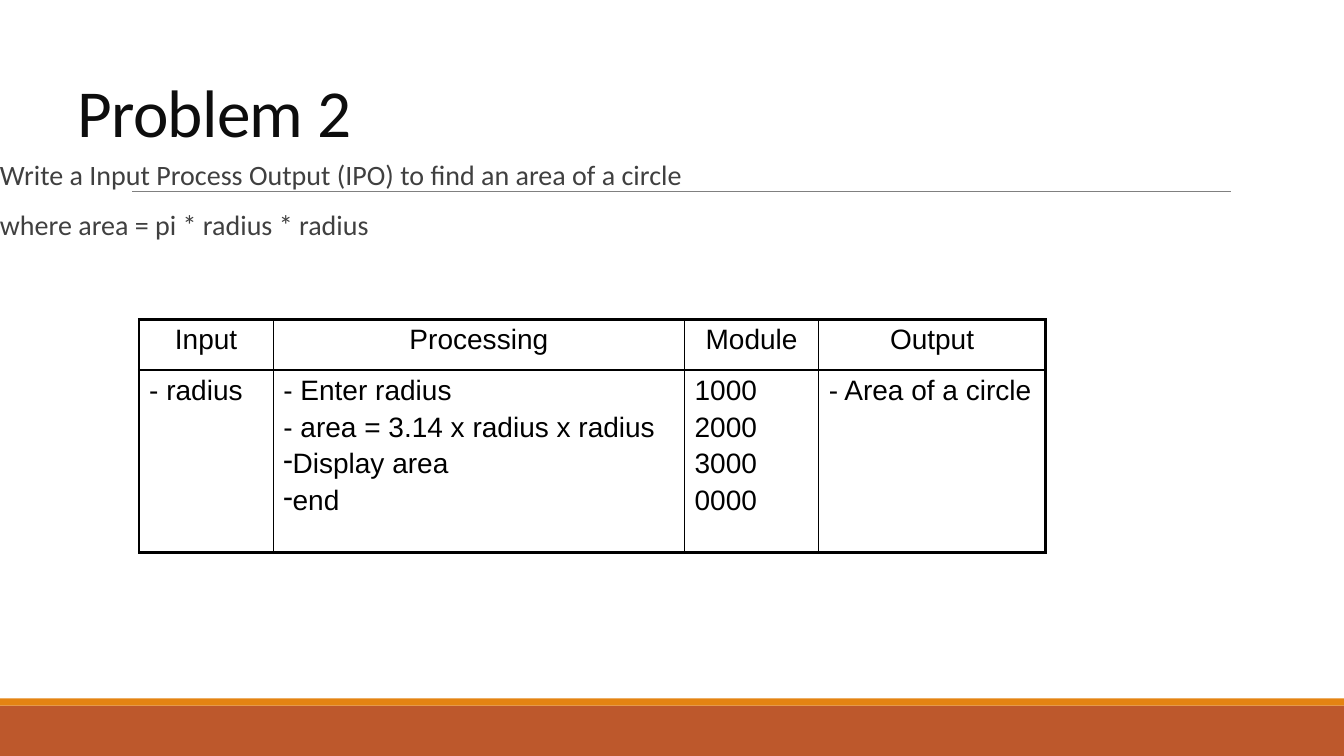
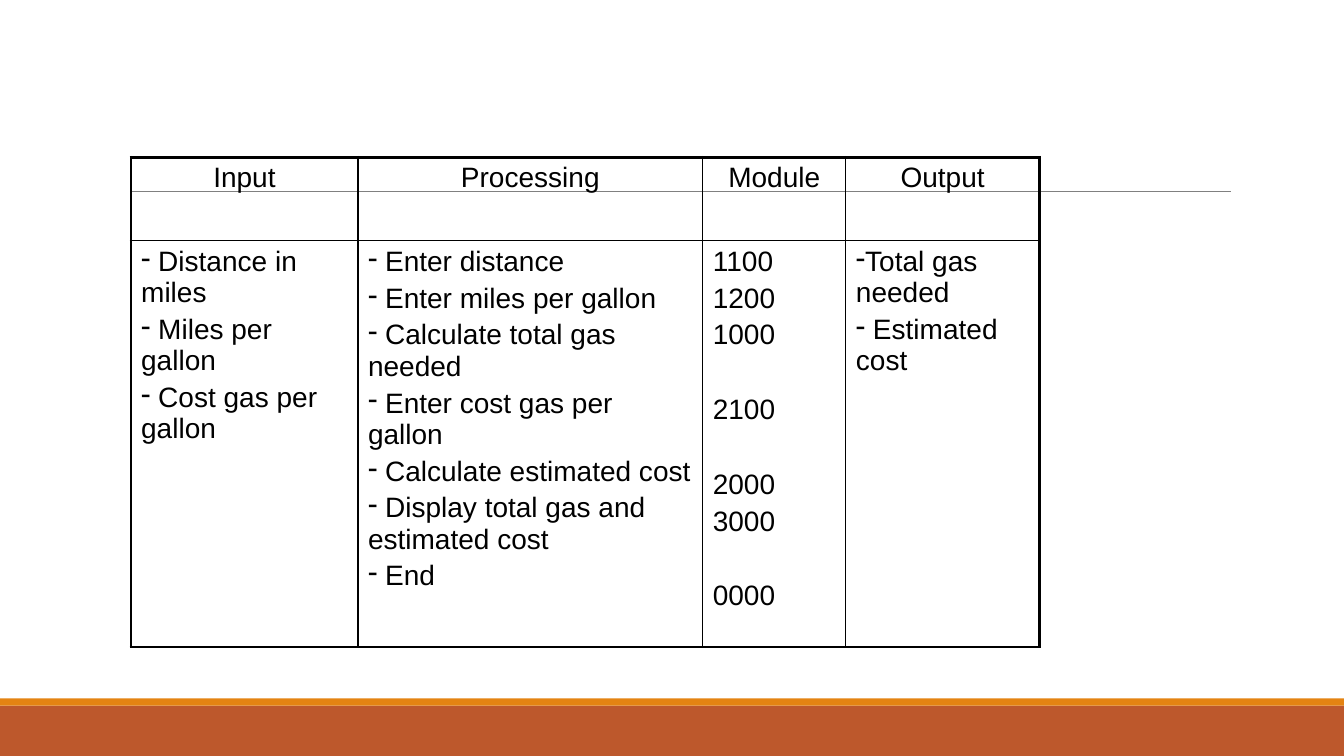
from dataclasses import dataclass
from typing import Any

import lxml.etree
import pptx
import pptx.dml.color
import pptx.enum.shapes
import pptx.enum.text
import pptx.oxml.ns
import pptx.util

Inches = pptx.util.Inches
Pt = pptx.util.Pt
qn = pptx.oxml.ns.qn
Align = pptx.enum.text.PP_ALIGN
Anchor = pptx.enum.text.MSO_ANCHOR

SLIDE_WIDTH, SLIDE_HEIGHT = 13.33, 7.5
BLACK, TITLE, BODY = "000000", "0D0D0D", "404040"
RULE = "808080"
OUTER_BORDER, INNER_BORDER = 2.25, 1
HEADERS = ("Input", "Processing", "Module", "Output")


@dataclass(frozen=True)
class Band:
    top: float
    height: float
    color: str


@dataclass(frozen=True)
class Entry:
    text: str
    bullet: str = ""
    space_before: float = 4


@dataclass(frozen=True)
class IpoTable:
    left: float
    top: float
    columns: tuple[float, ...]
    rows: tuple[float, float]
    content: tuple[list[Entry], ...]


BANDS = (Band(7, 0.5, "BD582C"), Band(6.93, 0.07, "E48312"))


def rgb(color: str) -> pptx.dml.color.RGBColor:
    return pptx.dml.color.RGBColor.from_string(color)


def plain(*texts: str) -> list[Entry]:
    return [Entry(text) for text in texts]


def dashed(*texts: str) -> list[Entry]:
    return [Entry(text, bullet="-") for text in texts]


def after_gap(text: str) -> Entry:
    return Entry(text, space_before=31)


CIRCLE_TABLE = IpoTable(
    1.38, 3.17, (1.33, 4.08, 1.33, 2.25), (0.5, 1.81),
    (
        plain("- radius"),
        plain("- Enter radius", "- area = 3.14 x radius x radius")
        + dashed("Display area", "end"),
        plain("1000", "2000", "3000", "0000"),
        plain("- Area of a circle"),
    ),
)

GAS_TABLE = IpoTable(
    1.3, 1.56, (2.25, 3.42, 1.42, 1.92), (0.83, 4.03),
    (
        dashed(" Distance in miles", " Miles per gallon", " Cost gas per gallon"),
        dashed(
            " Enter distance", " Enter miles per gallon",
            " Calculate total gas needed", " Enter cost gas per gallon",
            " Calculate estimated cost", " Display total gas and estimated cost",
            " End",
        ),
        plain("1100", "1200", "1000")
        + [after_gap("2100"), after_gap("2000")]
        + plain("3000")
        + [after_gap("0000")],
        dashed("Total gas needed", " Estimated cost"),
    ),
)


def write_text(
    frame: Any, entries: list[Entry], *, font: str, size: float, color: str,
    align: Any = Align.LEFT, line_spacing: float = 1.0,
    space_after: float = 0, tracking: float = 0,
) -> None:
    frame.word_wrap = True
    for index, entry in enumerate(entries):
        paragraph = frame.paragraphs[0] if index == 0 else frame.add_paragraph()
        paragraph.alignment = align
        paragraph.line_spacing = line_spacing
        paragraph.space_before = Pt(entry.space_before if index else 0)
        paragraph.space_after = Pt(space_after)
        if entry.bullet:
            properties = paragraph._p.get_or_add_pPr()
            properties.set("marL", "0")
            properties.set("indent", "0")
            bullet = lxml.etree.SubElement(properties, qn("a:buChar"))
            bullet.set("char", entry.bullet)
        run = paragraph.add_run()
        run.text = entry.text
        run.font.name = font
        run.font.size = Pt(size)
        run.font.color.rgb = rgb(color)
        if tracking:
            run._r.get_or_add_rPr().set("spc", str(round(tracking * 100)))


def add_text_box(
    slide: Any, left: float, top: float, width: float, height: float,
    entries: list[Entry], *, anchor: Any = Anchor.TOP, side_margin: float = 0.1,
    **text_format: Any,
) -> None:
    shape = slide.shapes.add_textbox(
        Inches(left), Inches(top), Inches(width), Inches(height)
    )
    frame = shape.text_frame
    frame.vertical_anchor = anchor
    frame.margin_left = frame.margin_right = Inches(side_margin)
    write_text(frame, entries, **text_format)


def set_border(cell: Any, side: str, width: float) -> None:
    line = lxml.etree.SubElement(
        cell._tc.get_or_add_tcPr(), qn(f"a:ln{side}"), w=str(Pt(width))
    )
    fill = lxml.etree.SubElement(line, qn("a:solidFill"))
    lxml.etree.SubElement(fill, qn("a:srgbClr"), val=BLACK)


def add_ipo_table(slide: Any, ipo: IpoTable) -> None:
    contents = [[[Entry(header)] for header in HEADERS], ipo.content]
    last_row, last_column = len(ipo.rows) - 1, len(ipo.columns) - 1
    table = slide.shapes.add_table(
        len(ipo.rows), len(ipo.columns), Inches(ipo.left), Inches(ipo.top),
        Inches(sum(ipo.columns)), Inches(sum(ipo.rows)),
    ).table
    table.first_row = table.horz_banding = False
    for column, width in zip(table.columns, ipo.columns):
        column.width = Inches(width)
    for row_index, height in enumerate(ipo.rows):
        table.rows[row_index].height = Inches(height)
        for column_index, entries in enumerate(contents[row_index]):
            cell = table.cell(row_index, column_index)
            outer_sides = {
                "L": column_index == 0,
                "R": column_index == last_column,
                "T": row_index == 0,
                "B": row_index == last_row,
            }
            for side, is_outer in outer_sides.items():
                set_border(cell, side, OUTER_BORDER if is_outer else INNER_BORDER)
            cell.fill.background()
            write_text(
                cell.text_frame, entries, font="Arial", size=20, color=BLACK,
                align=Align.CENTER if row_index == 0 else Align.LEFT,
            )


def add_base_slide(presentation: Any) -> Any:
    slide = presentation.slides.add_slide(presentation.slide_layouts[6])
    for band in BANDS:
        shape = slide.shapes.add_shape(
            pptx.enum.shapes.MSO_SHAPE.RECTANGLE,
            Inches(0), Inches(band.top), Inches(SLIDE_WIDTH), Inches(band.height),
        )
        shape.shadow.inherit = False
        shape.fill.solid()
        shape.fill.fore_color.rgb = rgb(band.color)
        shape.line.fill.background()
    rule = slide.shapes.add_connector(
        pptx.enum.shapes.MSO_CONNECTOR.STRAIGHT,
        Inches(1.31), Inches(1.9), Inches(12.21), Inches(1.9),
    )
    rule.line.color.rgb = rgb(RULE)
    rule.line.width = Pt(0.5)
    lxml.etree.SubElement(rule._element.spPr, qn("a:effectLst"))
    return slide


def build_circle_slide(presentation: Any) -> None:
    slide = add_base_slide(presentation)
    add_text_box(
        slide, 0.67, 0.3, 12, 1.25, plain("Problem 2"), anchor=Anchor.BOTTOM,
        font="Calibri", size=48, color=TITLE, line_spacing=0.85, tracking=-0.5,
    )
    add_ipo_table(slide, CIRCLE_TABLE)
    add_text_box(
        slide, 0, 1.55, 9.17, 1.25,
        [
            Entry("Write a Input Process Output (IPO) to find an area of a circle"),
            Entry("where area = pi * radius * radius", space_before=12),
        ],
        side_margin=0, font="Calibri", size=20, color=BODY,
        line_spacing=0.9, space_after=2,
    )


def build_gas_slide(presentation: Any) -> None:
    add_ipo_table(add_base_slide(presentation), GAS_TABLE)


def main() -> None:
    presentation = pptx.Presentation()
    presentation.slide_width = Inches(SLIDE_WIDTH)
    presentation.slide_height = Inches(SLIDE_HEIGHT)
    build_circle_slide(presentation)
    build_gas_slide(presentation)
    presentation.save("out.pptx")


if __name__ == "__main__":
    main()
